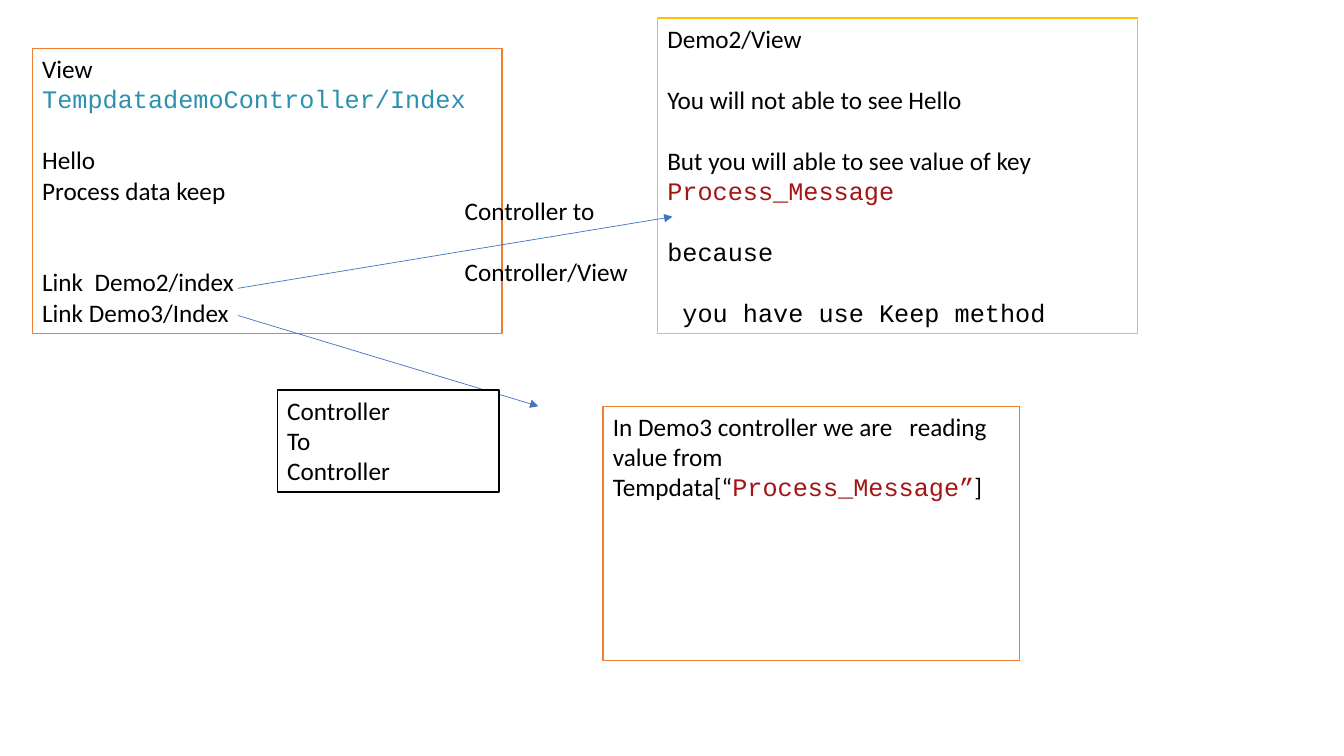
import pptx
import pptx.dml.color
import pptx.enum.shapes
import pptx.enum.text
import pptx.oxml.ns
import pptx.oxml.xmlchemy
import pptx.util
from pptx.util import Inches

BLACK, WHITE, ORANGE, GOLD = "000000", "FFFFFF", "ED7D31", "FFC000"
BLUE, TEAL, RED = "4472C4", "2B91AF", "A31515"
BODY, CODE = "Calibri", "Courier New"
LINE_GAP = 22  # points, one line of body text

# Content: each paragraph is (lines skipped before it, runs);
# each run is (text, font, colour)
INDEX_VIEW = [
    (0, [("View  ", BODY, BLACK), ("TempdatademoController/Index", CODE, TEAL)]),
    (1, [("Hello", BODY, BLACK)]),
    (0, [("Process data keep", BODY, BLACK)]),
    (2, [("Link  Demo2/index", BODY, BLACK)]),
    (0, [("Link Demo3/Index", BODY, BLACK)]),
]
DEMO2_VIEW = [
    (0, [("Demo2/View", BODY, BLACK)]),
    (1, [("You will not able to see Hello", BODY, BLACK)]),
    (1, [("But you will able to see value of key ", BODY, BLACK),
         ("Process_Message", CODE, RED)]),
    (1, [("because", CODE, BLACK)]),
    (1, [(" you have use Keep method", CODE, BLACK)]),
]
DEMO3_CONTROLLER = [
    (0, [("In Demo3 controller we are   reading value from  Tempdata[“", BODY, BLACK),
         ("Process_Message”", CODE, RED), ("]", BODY, BLACK)]),
]
CONTROLLER_LABEL = [(0, [(line, BODY, BLACK)]) for line in ("Controller", "To", "Controller")]
VIEW_LABEL = [
    (0, [("Controller to", BODY, BLACK)]),
    (1, [("Controller/View", BODY, BLACK)]),
]


def color(value):
    return pptx.dml.color.RGBColor.from_string(value)


def add_run(paragraph, text, font=BODY, size=18, fill=BLACK):
    run = paragraph.add_run()
    run.text = text
    run.font.name = font
    run.font.size = pptx.util.Pt(size)
    run.font.color.rgb = color(fill)


def write_text(shape, paragraphs):
    frame = shape.text_frame
    frame.word_wrap = True
    frame.vertical_anchor = pptx.enum.text.MSO_ANCHOR.TOP
    for index, (skipped, runs) in enumerate(paragraphs):
        paragraph = frame.paragraphs[0] if index == 0 else frame.add_paragraph()
        paragraph.alignment = pptx.enum.text.PP_ALIGN.LEFT
        paragraph.space_before = pptx.util.Pt(skipped * LINE_GAP)
        for text, font, fill in runs:
            add_run(paragraph, text, font=font, fill=fill)


def add_box(slide, place, border, paragraphs):
    shape = slide.shapes.add_shape(
        pptx.enum.shapes.MSO_SHAPE.RECTANGLE, *map(Inches, place))
    shape.shadow.inherit = False
    shape.fill.solid()
    shape.fill.fore_color.rgb = color(WHITE)
    shape.line.color.rgb = color(border)
    shape.line.width = pptx.util.Pt(1)
    write_text(shape, paragraphs)


def add_arrow(slide, start, end):
    connector = slide.shapes.add_connector(
        pptx.enum.shapes.MSO_CONNECTOR.STRAIGHT, *map(Inches, start + end))
    connector.line.color.rgb = color(BLUE)
    connector.line.width = pptx.util.Pt(0.5)
    properties = connector._element.find(pptx.oxml.ns.qn("p:spPr"))
    outline = properties.find(pptx.oxml.ns.qn("a:ln"))
    head = pptx.oxml.xmlchemy.OxmlElement("a:tailEnd")
    head.set("type", "triangle")
    outline.append(head)
    properties.append(pptx.oxml.xmlchemy.OxmlElement("a:effectLst"))


def main():
    presentation = pptx.Presentation()
    presentation.slide_width = Inches(13.33)
    presentation.slide_height = Inches(7.5)
    slide = presentation.slides.add_slide(presentation.slide_layouts[6])

    # Views, target controller and the links between them
    add_box(slide, (0.32, 0.48, 4.66, 2.83), ORANGE, INDEX_VIEW)
    add_box(slide, (6.52, 0.18, 4.76, 3.13), GOLD, DEMO2_VIEW)
    add_arrow(slide, (2.36, 2.86), (6.67, 2.15))
    add_box(slide, (5.98, 4.03, 4.13, 2.52), ORANGE, DEMO3_CONTROLLER)
    add_arrow(slide, (2.36, 3.13), (5.34, 4.03))

    # Labels on the links
    add_box(slide, (2.75, 3.87, 2.2, 1.01), BLACK, CONTROLLER_LABEL)
    label = slide.shapes.add_textbox(*map(Inches, (4.51, 1.89, 2.09, 1.01)))
    write_text(label, VIEW_LABEL)

    presentation.save("out.pptx")


if __name__ == "__main__":
    main()
